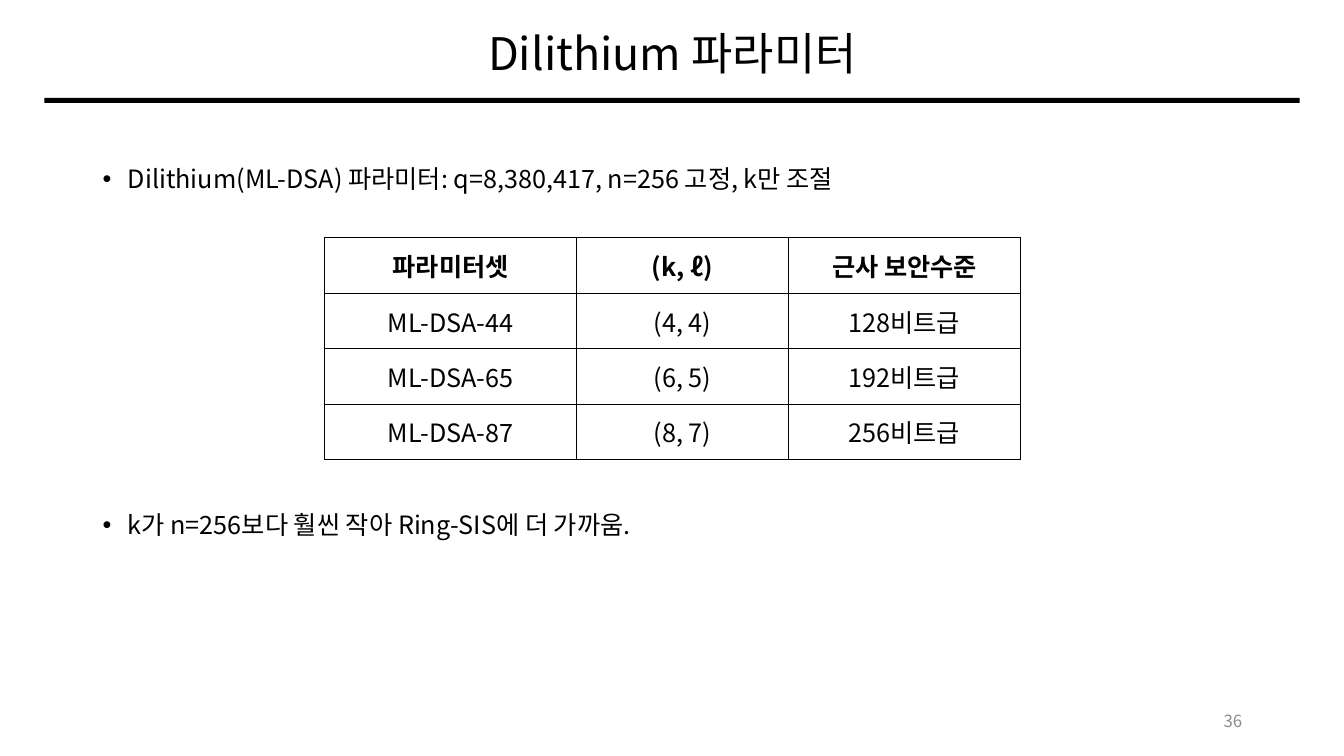
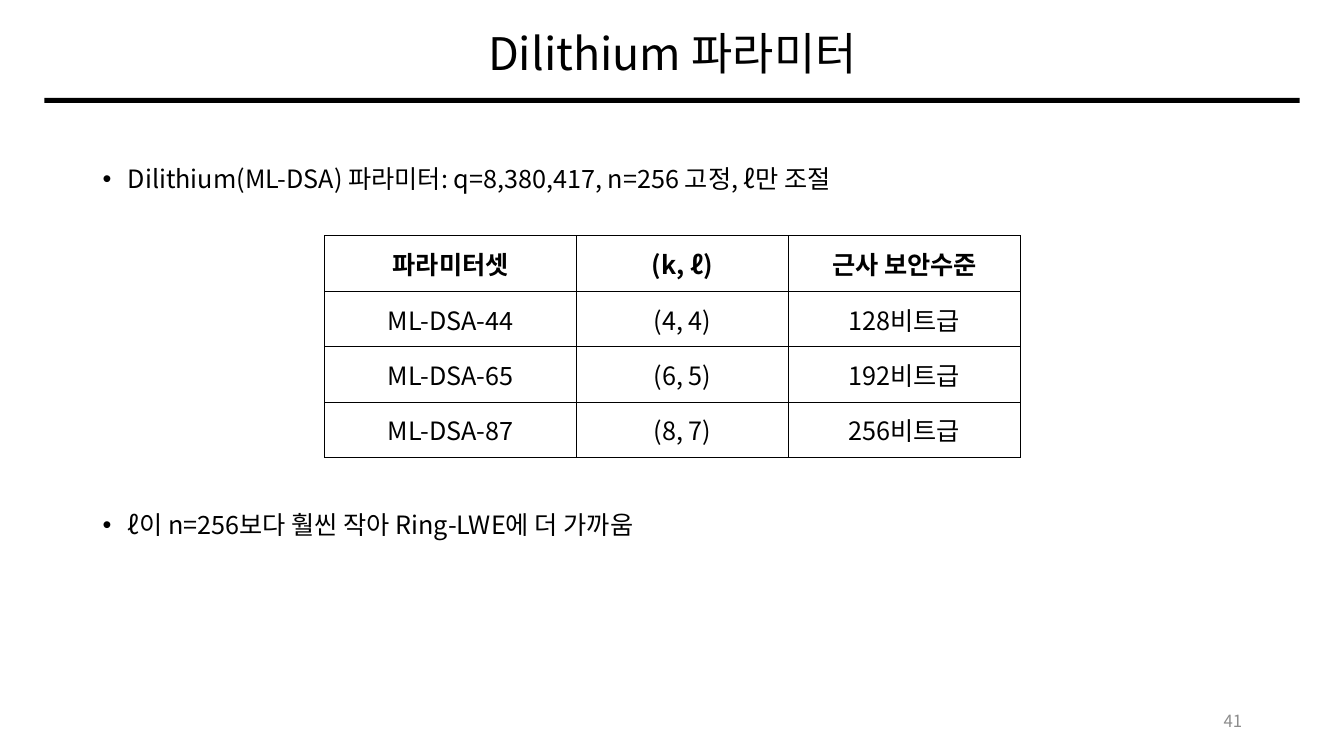
from lxml import etree
from pptx import Presentation
from pptx.dml.color import RGBColor
from pptx.enum.shapes import MSO_SHAPE
from pptx.enum.text import MSO_ANCHOR, PP_ALIGN
from pptx.oxml.ns import qn
from pptx.util import Inches, Pt

# Shared style
FONT = "Noto Sans CJK KR"
BLACK, WHITE, GRAY = "000000", "FFFFFF", "8C8C8C"
MARGIN, CONTENT_WIDTH = 0.92, 11.5
BODY_SIZE = 18
FIRST_GAP, TABLE_GAP = 10, 215  # points above the first and second bullet

# Table content
PARAMETERS = [
    ("파라미터셋", "(k, ℓ)", "근사 보안수준"),
    ("ML-DSA-44", "(4, 4)", "128비트급"),
    ("ML-DSA-65", "(6, 5)", "192비트급"),
    ("ML-DSA-87", "(8, 7)", "256비트급"),
]
COLUMN_WIDTHS = [2.5, 2.1, 2.3]
ROW_HEIGHT = 0.55


def rgb(value):
    return RGBColor.from_string(value)


def write(paragraph, text, size, color=BLACK, bold=False, align=PP_ALIGN.LEFT):
    paragraph.alignment = align
    run = paragraph.add_run()
    run.text = text
    font = run.font
    font.name, font.size, font.bold = FONT, Pt(size), bold
    font.color.rgb = rgb(color)
    for tag in ("a:ea", "a:cs"):
        etree.SubElement(run._r.get_or_add_rPr(), qn(tag), typeface=FONT)


def add_text_frame(slide, left, top, width, height, anchor=MSO_ANCHOR.MIDDLE):
    box = slide.shapes.add_textbox(Inches(left), Inches(top), Inches(width), Inches(height))
    frame = box.text_frame
    frame.word_wrap = True
    frame.vertical_anchor = anchor
    return frame


def add_title(slide, text):
    paragraph = add_text_frame(slide, MARGIN, 0.15, CONTENT_WIDTH, 0.82).paragraphs[0]
    paragraph.line_spacing = 0.9
    write(paragraph, text, 32, align=PP_ALIGN.CENTER)


def add_title_rule(slide):
    rule = slide.shapes.add_shape(
        MSO_SHAPE.RECTANGLE, Inches(0.44), Inches(0.97), Inches(12.45), Inches(0.05))
    rule.shadow.inherit = False
    rule.fill.solid()
    rule.fill.fore_color.rgb = rgb(BLACK)
    rule.line.fill.background()


def add_page_number(slide, number):
    frame = add_text_frame(slide, 9.42, 6.95, 3, 0.4)
    write(frame.paragraphs[0], str(number), 12, GRAY, align=PP_ALIGN.RIGHT)


def add_bullets(slide, texts):
    frame = add_text_frame(slide, MARGIN, 1.42, CONTENT_WIDTH, 5.14, MSO_ANCHOR.TOP)
    for index, (text, gap) in enumerate(zip(texts, (FIRST_GAP, TABLE_GAP))):
        paragraph = frame.add_paragraph() if index else frame.paragraphs[0]
        paragraph.line_spacing = 1.5
        paragraph.space_before = Pt(gap)
        write(paragraph, text, BODY_SIZE)
        # Hanging bullet
        properties = paragraph._p.get_or_add_pPr()
        properties.set("marL", str(Inches(0.25)))
        properties.set("indent", str(Inches(-0.25)))
        etree.SubElement(properties, qn("a:buFont"), typeface="Arial")
        etree.SubElement(properties, qn("a:buChar"), char="•")


def add_borders(cell):
    properties = cell._tc.get_or_add_tcPr()
    for position, side in enumerate(("a:lnL", "a:lnR", "a:lnT", "a:lnB")):
        line = etree.Element(qn(side), w=str(Pt(1)))
        fill = etree.SubElement(line, qn("a:solidFill"))
        etree.SubElement(fill, qn("a:srgbClr"), val=BLACK)
        properties.insert(position, line)


def add_parameter_table(slide, top):
    rows, columns = len(PARAMETERS), len(COLUMN_WIDTHS)
    table = slide.shapes.add_table(
        rows, columns, Inches(3.22), Inches(top),
        Inches(sum(COLUMN_WIDTHS)), Inches(rows * ROW_HEIGHT)).table
    table.horz_banding = False
    for column, width in zip(table.columns, COLUMN_WIDTHS):
        column.width = Inches(width)
    for row_index, values in enumerate(PARAMETERS):
        table.rows[row_index].height = Inches(ROW_HEIGHT)
        for column_index, text in enumerate(values):
            cell = table.cell(row_index, column_index)
            cell.fill.solid()
            cell.fill.fore_color.rgb = rgb(WHITE)
            cell.vertical_anchor = MSO_ANCHOR.MIDDLE
            cell.margin_left = cell.margin_right = Inches(0.03)
            cell.margin_top = cell.margin_bottom = Inches(0.01)
            write(cell.text_frame.paragraphs[0], text, BODY_SIZE,
                  bold=row_index == 0, align=PP_ALIGN.CENTER)
            add_borders(cell)


def add_parameter_slide(deck, number, variable, conclusion, table_top):
    slide = deck.slides.add_slide(deck.slide_layouts[6])
    add_title_rule(slide)
    add_title(slide, "Dilithium 파라미터")
    add_bullets(slide, [
        f"Dilithium(ML-DSA) 파라미터: q=8,380,417, n=256 고정, {variable}만 조절",
        conclusion,
    ])
    add_page_number(slide, number)
    add_parameter_table(slide, table_top)


def main():
    deck = Presentation()
    deck.slide_width, deck.slide_height = Inches(13.33), Inches(7.5)
    add_parameter_slide(deck, 36, "k", "k가 n=256보다 훨씬 작아 Ring-SIS에 더 가까움.", 2.36)
    add_parameter_slide(deck, 41, "ℓ", "ℓ이 n=256보다 훨씬 작아 Ring-LWE에 더 가까움", 2.34)
    deck.save("out.pptx")


main()
